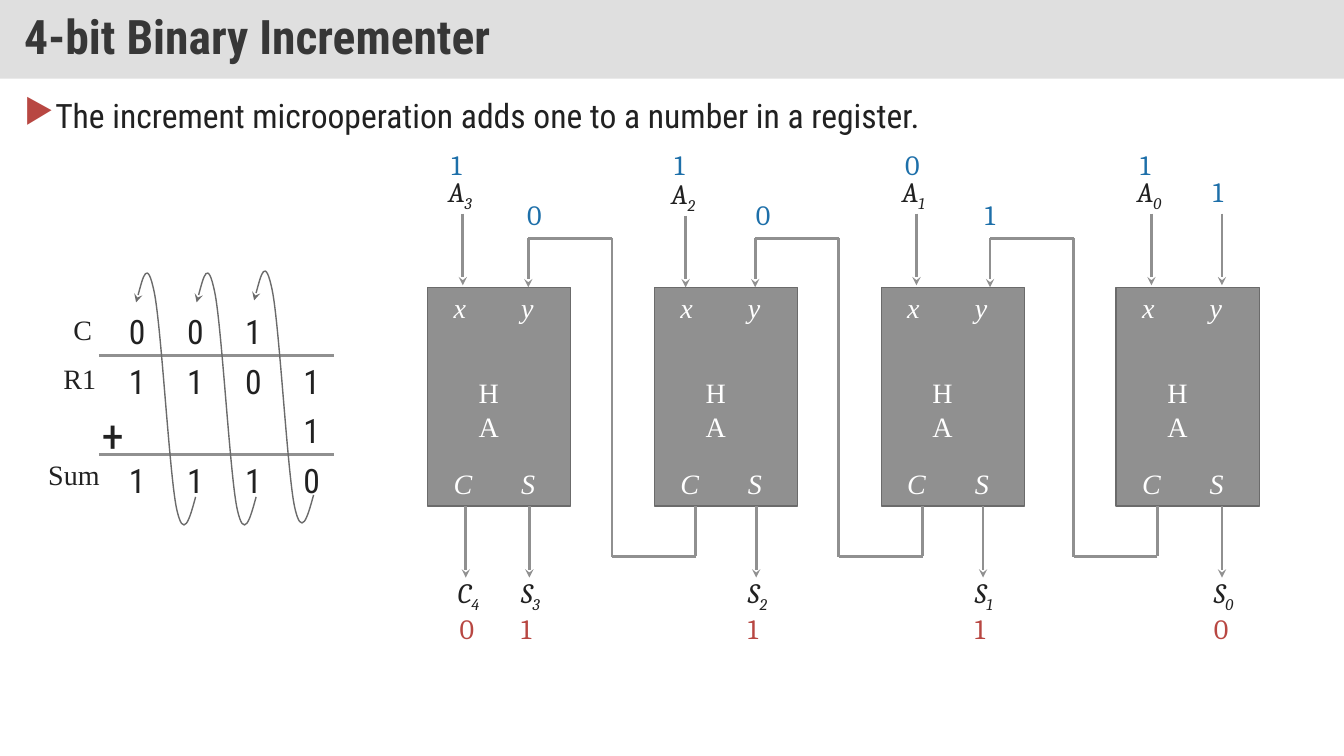
from lxml.etree import SubElement
from pptx import Presentation
from pptx.dml.color import RGBColor
from pptx.enum.shapes import MSO_CONNECTOR as Connector, MSO_SHAPE as Shape
from pptx.enum.text import MSO_ANCHOR as Anchor, MSO_AUTO_SIZE as AutoSize, PP_ALIGN as Align
from pptx.oxml.ns import qn
from pptx.util import Inches, Pt

SANS, SERIF, MATH = "Roboto Condensed", "Times New Roman", "Cambria"
INK, WHITE, GRAY, EDGE, BLUE, RED = "212121", "FFFFFF", "909090", "6B6B6B", "1D6FA9", "B84742"

TITLE = "4-bit Binary Incrementer"
STATEMENT = "The increment microoperation adds one to a number in a register."

ADDITION = ["001 ", "1101", "   1", "1110"]
DIGIT_LEFT, DIGIT_PITCH = 1.18, 0.577
ROW_TOP, ROW_PITCH = 3.04, 0.49
ROW_LABELS = [("C", 0.63, 3.05), ("R1", 0.53, 3.54), ("Sum", 0.38, 4.49)]
RULE_ROWS = [1, 3]
CURVE_STARTS = [(3.11, 4.91), (2.54, 4.93), (1.94, 4.93)]
CURVE_STEPS = [(-0.06, 0.22), (-0.12, 0.44), (-0.19, 0.11),
               (-0.26, -0.23), (-0.34, -1.69), (-0.41, -2.03),
               (-0.48, -2.37), (-0.53, -2.15), (-0.59, -1.93)]

# index, left, input x, input arrow top, input bit, sum label left, sum bit
STAGES = [
    (0, 11.07, 11.42, 2.12, "1", 11.94, "0"),
    (1, 8.74, 9.09, 2.12, "0", 9.57, "1"),
    (2, 6.49, 6.80, 2.14, "1", 7.32, "1"),
    (3, 4.24, 4.59, 2.12, "1", 5.07, "1"),
]
CARRIES = [(11.48, "1", 9.67), (9.15, "0", 7.40), (6.90, "0", 5.13)]
PORTS = [("x", 0.16, 2.83), ("y", 0.83, 2.83), ("C", 0.16, 4.58), ("S", 0.83, 4.58)]
BOX_TOP, BOX_WIDTH, BOX_HEIGHT = 2.85, 1.42, 2.17
BOX_BOTTOM = BOX_TOP + BOX_HEIGHT
ARROW, WIRE_TOP, WIRE_BOTTOM, WIRE_STEP = 0.71, 2.37, 5.52, 0.83
LABEL_ROW, RESULT_ROW, INPUT_ROW, CARRY_ROW = 5.66, 6.02, 1.41, 1.91


def color(value):
    return RGBColor.from_string(value)


def style(run, size, font, ink, italic=None, bold=None):
    run.font.size, run.font.name = Pt(size), font
    run.font.color.rgb = color(ink)
    run.font.italic, run.font.bold = italic, bold


def add_text(text, left, top, font, ink=INK, size=20, width=0.36, height=0.44,
             italic=None, wrap=False, subscript=""):
    box = slide.shapes.add_textbox(*map(Inches, (left, top, width, height)))
    frame = box.text_frame
    frame.word_wrap, frame.auto_size = wrap, AutoSize.SHAPE_TO_FIT_TEXT
    frame.text = text
    paragraph = frame.paragraphs[0]
    if subscript:
        run = paragraph.add_run()
        run.text = subscript
        run._r.get_or_add_rPr().set("baseline", "-25000")
    for run in paragraph.runs:
        style(run, size, font, ink, italic)
    return paragraph


def add_variable(name, index, left, top):
    add_text(name, left, top, MATH, width=0.46, italic=True, wrap=True, subscript=str(index))


def set_line(shape, ink, width, arrow):
    shape.line.color.rgb, shape.line.width = color(ink), Pt(width)
    if arrow:
        SubElement(shape.line._get_or_add_ln(), qn("a:tailEnd"), type="stealth")


def add_line(start, end, arrow=False):
    line = slide.shapes.add_connector(Connector.STRAIGHT, *map(Inches, start + end))
    set_line(line, GRAY, 2, arrow)
    SubElement(line._element.spPr, qn("a:effectLst"))


def add_down_arrow(x, top, length=ARROW):
    add_line((x, top), (x, top + length), arrow=True)


def add_carry_curve(x, y):
    points = [(Inches(x + dx), Inches(y + dy)) for dx, dy in CURVE_STEPS]
    builder = slide.shapes.build_freeform(Inches(x), Inches(y))
    builder.add_line_segments(points, close=False)
    curve = builder.convert_to_shape()
    curve.shadow.inherit = False
    curve.fill.background()
    set_line(curve, EDGE, 1, True)
    outline = next(curve._element.iter(qn("a:path")))
    segments = outline.findall(qn("a:lnTo"))
    for first in range(0, len(segments), 3):
        bezier = SubElement(outline, qn("a:cubicBezTo"))
        for segment in segments[first:first + 3]:
            bezier.append(segment[0])
            outline.remove(segment)


def add_rectangle(left, top, width, height, fill):
    shape = slide.shapes.add_shape(Shape.RECTANGLE, *map(Inches, (left, top, width, height)))
    shape.shadow.inherit = False
    shape.fill.solid()
    shape.fill.fore_color.rgb = color(fill)
    return shape


def add_heading():
    banner = add_rectangle(0, 0, 13.33, 0.78, "C0C0C0")
    SubElement(next(banner._element.spPr.iter(qn("a:srgbClr"))), qn("a:alpha"), val="50000")
    banner.line.fill.background()
    frame = banner.text_frame
    frame.margin_left = frame.margin_right = Inches(0.24)
    frame.margin_top = frame.margin_bottom = Inches(0.12)
    frame.vertical_anchor = Anchor.MIDDLE
    frame.text = TITLE
    paragraph = frame.paragraphs[0]
    paragraph.alignment, paragraph.line_spacing = Align.LEFT, 0.9
    style(paragraph.runs[0], 34, SANS, "373737", bold=True)

    paragraph = add_text(STATEMENT, 0.14, 0.94, SANS, size=24, width=13.05, height=0.54, wrap=True)
    paragraph.alignment, paragraph.line_spacing = Align.JUSTIFY, 0.9
    properties = paragraph._p.get_or_add_pPr()
    properties.set("marL", str(Inches(0.29)))
    properties.set("indent", str(Inches(-0.29)))
    SubElement(SubElement(properties, qn("a:buClr")), qn("a:srgbClr"), val=RED)
    SubElement(properties, qn("a:buChar"), char="▶")


def add_addition():
    for row, digits in enumerate(ADDITION):
        for column, digit in enumerate(digits):
            if digit != " ":
                add_text(digit, DIGIT_LEFT + column * DIGIT_PITCH, ROW_TOP + row * ROW_PITCH,
                         SANS, size=24, width=0.37, height=0.5)
    add_text("+", 0.91, 4.0, SANS, size=32, width=0.43, height=0.64)
    for row in RULE_ROWS:
        y = ROW_TOP + row * ROW_PITCH
        add_line((0.98, y), (3.31, y))
    for (label, left, top), width in zip(ROW_LABELS, (0.36, 0.53, 0.73)):
        add_text(label, left, top, SERIF, width=width)
    for start in CURVE_STARTS:
        add_carry_curve(*start)


def add_stage(index, left, input_x, input_top, input_bit, sum_left, sum_bit):
    box = add_rectangle(left, BOX_TOP, BOX_WIDTH, BOX_HEIGHT, GRAY)
    set_line(box, EDGE, 1, False)
    for port, offset, top in PORTS:
        add_text(port, left + offset, top, SERIF, WHITE, width=0.34, italic=True)
    add_text("HA", left + 0.41, 3.68, SERIF, WHITE, width=0.57, wrap=True)
    add_down_arrow(input_x, input_top)
    add_variable("A", index, input_x - 0.24, input_top - 0.44)
    add_text(input_bit, input_x - 0.21, INPUT_ROW, MATH, BLUE)
    add_down_arrow(sum_left + 0.18, BOX_BOTTOM)
    add_variable("S", index, sum_left, LABEL_ROW)
    add_text(sum_bit, sum_left, RESULT_ROW, MATH, RED)


def add_carry(x, bit, bit_left):
    trunk, target = x - WIRE_STEP, x - 2 * WIRE_STEP
    add_line((x, BOX_BOTTOM), (x, WIRE_BOTTOM))
    add_line((x, WIRE_BOTTOM), (trunk, WIRE_BOTTOM))
    add_line((trunk, WIRE_TOP - 0.01), (trunk, WIRE_BOTTOM + 0.01))
    add_line((trunk, WIRE_TOP), (target, WIRE_TOP))
    add_down_arrow(target, WIRE_TOP - 0.01, BOX_TOP - WIRE_TOP + 0.01)
    add_text(bit, bit_left, CARRY_ROW, MATH, BLUE)


presentation = Presentation()
presentation.slide_width, presentation.slide_height = Inches(13.33), Inches(7.5)
slide = presentation.slides.add_slide(presentation.slide_layouts[6])

add_heading()
add_addition()
for stage in STAGES:
    add_stage(*stage)
for carry in CARRIES:
    add_carry(*carry)
add_down_arrow(12.12, 2.12)
add_text("1", 11.93, 1.68, MATH, BLUE, width=0.39, wrap=True)
add_down_arrow(4.62, BOX_BOTTOM)
add_variable("C", 4, 4.44, LABEL_ROW)
add_text("0", 4.46, RESULT_ROW, MATH, RED)

presentation.save("out.pptx")
